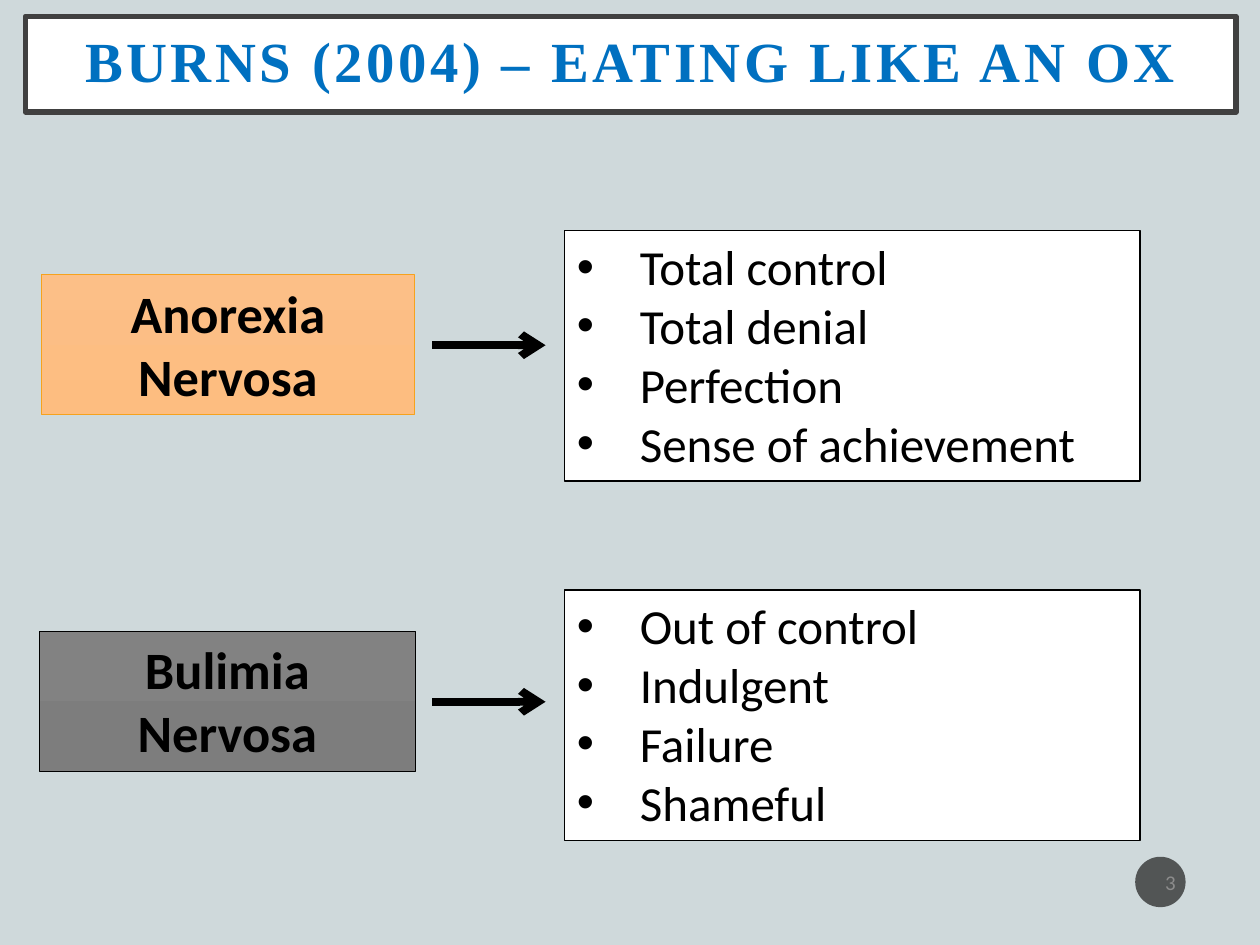
from lxml import etree
from pptx import Presentation
from pptx.dml.color import RGBColor
from pptx.enum.shapes import MSO_CONNECTOR, MSO_SHAPE
from pptx.enum.text import MSO_ANCHOR, MSO_AUTO_SIZE, PP_ALIGN
from pptx.oxml.ns import qn
from pptx.util import Inches, Pt

RECTANGLE, OVAL = MSO_SHAPE.RECTANGLE, MSO_SHAPE.OVAL
STRAIGHT = MSO_CONNECTOR.STRAIGHT
LEFT, CENTER, RIGHT = PP_ALIGN.LEFT, PP_ALIGN.CENTER, PP_ALIGN.RIGHT
TOP, MIDDLE = MSO_ANCHOR.TOP, MSO_ANCHOR.MIDDLE
FIT_SHAPE = MSO_AUTO_SIZE.SHAPE_TO_FIT_TEXT

COLORS = {
    "page": "CFD9DB", "white": "FFFFFF", "black": "000000",
    "title": "0070C0", "frame": "404040", "badge": "1D1D1D",
    "number": "8C8C8C", "orange": "F6A21D",
    "orange_top": "FCBF87", "orange_end": "FDBD80",
    "gray_top": "828282", "gray_end": "7D7D7D",
}
TITLE = "BURNS (2004) – EATING LIKE AN OX"
PAGE_NUMBER = "3"
DISORDERS = [
    {"name": "Anorexia Nervosa", "label": (0.33, 2.18, 2.96, 1.11),
     "fill": ("orange_top", "orange_end"), "line": "orange",
     "list_top": 1.83, "arrow_y": 2.74,
     "traits": ["Total control", "Total denial", "Perfection", "Sense of achievement"]},
    {"name": "Bulimia Nervosa", "label": (0.31, 5.01, 2.99, 1.11),
     "fill": ("gray_top", "gray_end"), "line": "black",
     "list_top": 4.68, "arrow_y": 5.57,
     "traits": ["Out of control", "Indulgent", "Failure", "Shameful"]},
]
LIST_LEFT, LIST_WIDTH, LIST_HEIGHT = 4.48, 4.57, 1.99
ARROW_START, ARROW_END = 3.43, 4.33
BULLET_INDENT = Inches(0.5)


def rgb(name):
    """Return the named colour."""
    return RGBColor.from_string(COLORS[name])


def add_box(page, place, fills, line=None, width=1, kind=RECTANGLE):
    """Add a shape with one fill colour, or two for a vertical gradient."""
    box = page.shapes.add_shape(kind, *map(Inches, place))
    box.shadow.inherit = False
    if len(fills) == 1:
        box.fill.solid()
        box.fill.fore_color.rgb = rgb(fills[0])
    else:
        box.fill.gradient()
        box.fill.gradient_angle = 270
        for stop, name in zip(box.fill.gradient_stops, fills):
            stop.color.rgb = rgb(name)
    if line:
        box.line.color.rgb = rgb(line)
        box.line.width = Pt(width)
    else:
        box.line.fill.background()
    return box


def write(box, lines, size, color="black", font="Calibri", bold=False,
          align=CENTER, anchor=TOP, insets=(0.1, 0.05)):
    """Write one paragraph per line and format its runs."""
    frame = box.text_frame
    frame.word_wrap = True
    frame.vertical_anchor = anchor
    frame.margin_left = frame.margin_right = Inches(insets[0])
    frame.margin_top = frame.margin_bottom = Inches(insets[1])
    frame.text = "\n".join(lines)
    for para in frame.paragraphs:
        para.alignment = align
        for span in para.runs:
            span.font.size = Pt(size)
            span.font.name = font
            span.font.bold = bold
            span.font.color.rgb = rgb(color)
    return frame


def add_bullets(frame):
    """Give every paragraph a hanging round bullet."""
    for para in frame.paragraphs:
        props = para._p.get_or_add_pPr()
        props.set("marL", str(BULLET_INDENT))
        props.set("indent", str(-BULLET_INDENT))
        etree.SubElement(props, qn("a:buFont")).set("typeface", "Arial")
        etree.SubElement(props, qn("a:buChar")).set("char", "•")


def add_arrow(page, y):
    """Add a thick arrow from a label to its list."""
    arrow = page.shapes.add_connector(
        STRAIGHT, Inches(ARROW_START), Inches(y), Inches(ARROW_END), Inches(y))
    arrow.line.color.rgb = rgb("black")
    arrow.line.width = Pt(4.5)
    etree.SubElement(arrow.line._get_or_add_ln(), qn("a:tailEnd")).set("type", "arrow")
    etree.SubElement(arrow._element.spPr, qn("a:effectLst"))


def add_title(page):
    """Add the framed, letter-spaced title."""
    box = add_box(page, (0.2, 0.13, 9.61, 0.76), ["white"], "frame", 3)
    frame = write(box, [TITLE], 32.4, "title", "Times New Roman", True,
                  anchor=MIDDLE, insets=(0.3, 0.2))
    para = frame.paragraphs[0]
    para.line_spacing = 0.9
    para.runs[0].font._element.set("spc", "200")


def add_page_number(page):
    """Add the page number on a translucent disc."""
    badge = add_box(page, (9.01, 6.8, 0.4, 0.4), ["badge"], kind=OVAL)
    color = badge._element.spPr.find(qn("a:solidFill"))[0]
    etree.SubElement(color, qn("a:alpha")).set("val", "70000")
    write(badge, [PAGE_NUMBER], 12, "number", align=RIGHT, anchor=MIDDLE,
          insets=(0.02, 0.05))


def add_disorder(page, disorder):
    """Add a label, its arrow and its list of traits."""
    label = add_box(page, disorder["label"], disorder["fill"], disorder["line"], 0.5)
    write(label, [disorder["name"]], 30, bold=True).auto_size = FIT_SHAPE
    place = (LIST_LEFT, disorder["list_top"], LIST_WIDTH, LIST_HEIGHT)
    traits = add_box(page, place, ["white"], "black")
    frame = write(traits, disorder["traits"], 28, align=LEFT)
    frame.auto_size = FIT_SHAPE
    add_bullets(frame)
    add_arrow(page, disorder["arrow_y"])


deck = Presentation()
deck.slide_width, deck.slide_height = Inches(10), Inches(7.5)
page = deck.slides.add_slide(deck.slide_layouts[6])
page.background.fill.solid()
page.background.fill.fore_color.rgb = rgb("page")
add_title(page)
add_page_number(page)
for disorder in DISORDERS:
    add_disorder(page, disorder)
deck.save("out.pptx")
